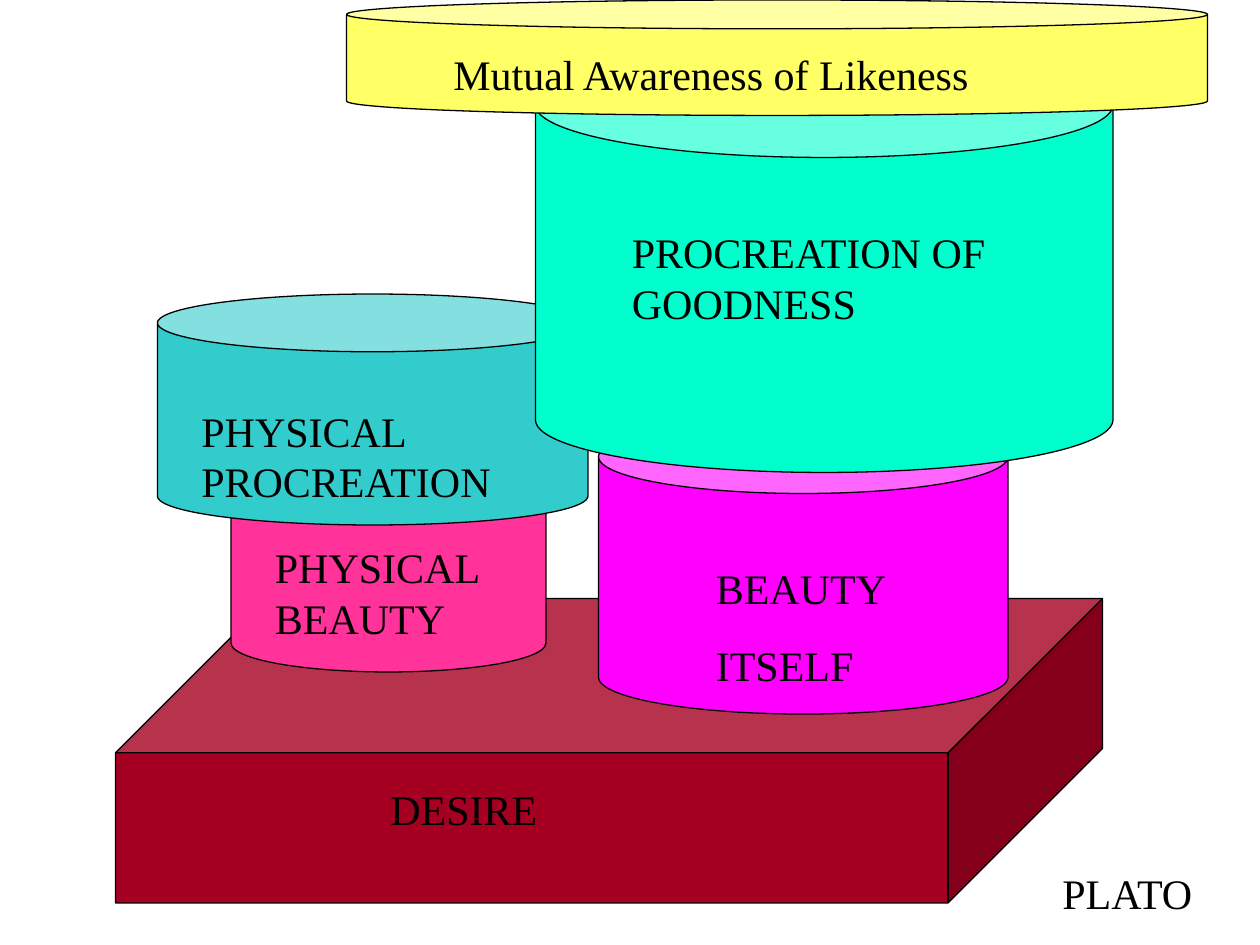
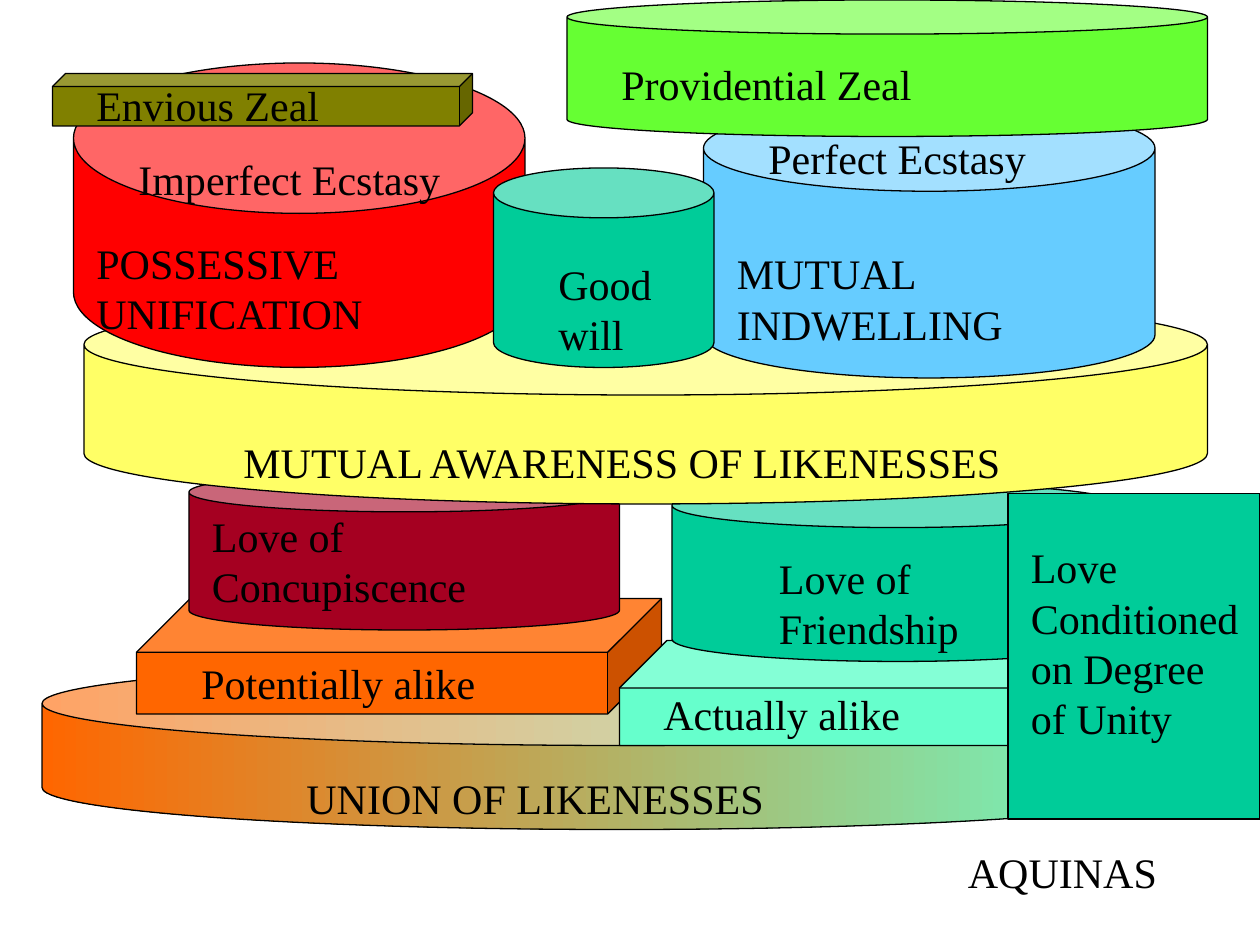
import pptx
import pptx.util
import pptx.dml.color
import pptx.enum.shapes
import pptx.enum.text

deck = pptx.Presentation()
deck.slide_width = pptx.util.Inches(10)
deck.slide_height = pptx.util.Inches(7.5)

# Both slides sit on a grid of 120 columns by 90 rows.
COL = deck.slide_width / 120
ROW = deck.slide_height / 90
FONT, SIZE, GAP, EDGE = "Times New Roman", 24, 15, 0.74
INK, RED, GOLD, JADE = "000000", "A50021", "FFFF66", "00CC99"
MINT, FLAME = "66FFCC", "FF6600"
KINDS = {
    "can": pptx.enum.shapes.MSO_SHAPE.CAN,
    "cube": pptx.enum.shapes.MSO_SHAPE.CUBE,
    "rect": pptx.enum.shapes.MSO_SHAPE.RECTANGLE,
}


def tint(code):
    """Turn a hex string into a colour."""
    return pptx.dml.color.RGBColor.from_string(code)


def place(col, row, wide, high):
    """Turn grid columns and rows into left, top, width and height."""
    return [round(n) for n in (col * COL, row * ROW, wide * COL, high * ROW)]


# Solids: kind, column, row, width, height, depth, fill (a pair is a gradient).
# Labels: "text", column, row, width, then one string per paragraph, and
# the height counted in lines.
plato = [
    ("cube", 11, 57, 94, 29, 0.507, RED),
    ("text", 36, 74, 34, ["DESIRE"], 1),
    ("can", 22, 42, 30, 22, 0.25, "FF3399"),
    ("text", 25, 51, 25, ["PHYSICAL BEAUTY"], 2),
    ("can", 57, 40, 39, 28, 0.25, "FF00FF"),
    ("text", 67, 53, 19, ["BEAUTY", "ITSELF"], 2.5),
    ("can", 15, 28, 41, 22, 0.25, "33CCCC"),
    ("text", 18, 38, 43, ["PHYSICAL PROCREATION"], 2),
    ("can", 51, 5, 55, 40, 0.25, "00FFCC"),
    ("text", 59, 21, 41, ["PROCREATION OF GOODNESS"], 2),
    ("text", 100, 82, 20, ["PLATO"], 1),
    ("can", 33, 0, 82, 11, 0.25, GOLD),
    ("text", 42, 4, 58, ["Mutual Awareness of Likeness"], 1),
]
aquinas = [
    ("can", 4, 63, 110, 16, 0.5, (MINT, FLAME)),
    ("cube", 13, 57, 50, 11, 0.466, FLAME),
    ("text", 18, 62, 37, ["Potentially alike"], 1),
    ("cube", 59, 61, 49, 10, 0.452, MINT),
    ("text", 62, 65, 38, ["Actually alike"], 1),
    ("can", 18, 45, 41, 15, 0.25, RED),
    ("text", 19, 48, 27, ["Love of Concupiscence"], 2),
    ("can", 64, 46, 43, 17, 0.25, JADE),
    ("text", 73, 52, 21, ["Love of Friendship"], 2),
    ("can", 8, 28, 107, 20, 0.481, GOLD),
    ("text", 22, 41, 85, ["MUTUAL AWARENESS OF LIKENESSES"], 1),
    ("can", 7, 6, 43, 29, 0.494, "FF0000"),
    ("text", 8, 22, 40, ["POSSESSIVE UNIFICATION"], 2),
    ("text", 12, 14, 56, ["Imperfect Ecstasy"], 1),
    ("cube", 5, 7, 40, 5, 0.25, "808000"),
    ("text", 8, 7, 49, ["Envious Zeal"], 1),
    ("can", 67, 10, 43, 26, 0.316, "66CCFF"),
    ("text", 69, 23, 30, ["MUTUAL INDWELLING"], 2),
    ("text", 72, 12, 36, ["Perfect Ecstasy"], 1),
    ("can", 54, 0, 61, 13, 0.25, "66FF33"),
    ("text", 58, 5, 47, ["Providential Zeal"], 1),
    ("text", 28, 73, 77, ["UNION OF LIKENESSES"], 1),
    ("text", 91, 80, 25, ["AQUINAS"], 1),
    ("rect", 96, 47, 24, 31, None, JADE),
    ("text", 97, 51, 23, ["Love Conditioned on Degree of Unity"], 4),
    ("can", 47, 16, 21, 19, 0.25, JADE),
    ("text", 52, 24, 13, ["Goodwill"], 2),
]

for parts in (plato, aquinas):
    slide = deck.slides.add_slide(deck.slide_layouts[6])
    for kind, col, row, wide, *rest in parts:
        if kind == "text":
            words, lines = rest
            box = slide.shapes.add_textbox(*place(col, row, wide, 4.8 * lines + 1.2))
            frame = box.text_frame
            frame.word_wrap = True
            frame.auto_size = pptx.enum.text.MSO_AUTO_SIZE.SHAPE_TO_FIT_TEXT
            frame.text = "\n".join(words)
            for para in frame.paragraphs:
                para.space_before = pptx.util.Pt(GAP)
                para.font.name = FONT
                para.font.size = pptx.util.Pt(SIZE)
                para.font.color.rgb = tint(INK)
            continue

        high, depth, fill = rest
        solid = slide.shapes.add_shape(KINDS[kind], *place(col, row, wide, high))
        solid.shadow.inherit = False
        solid.line.color.rgb = tint(INK)
        solid.line.width = pptx.util.Pt(EDGE)
        if depth is not None:
            solid.adjustments[0] = depth
        if isinstance(fill, tuple):
            solid.fill.gradient()
            solid.fill.gradient_angle = 180
            for stop, code in zip(solid.fill.gradient_stops, fill):
                stop.color.rgb = tint(code)
        else:
            solid.fill.solid()
            solid.fill.fore_color.rgb = tint(fill)

deck.save("out.pptx")
